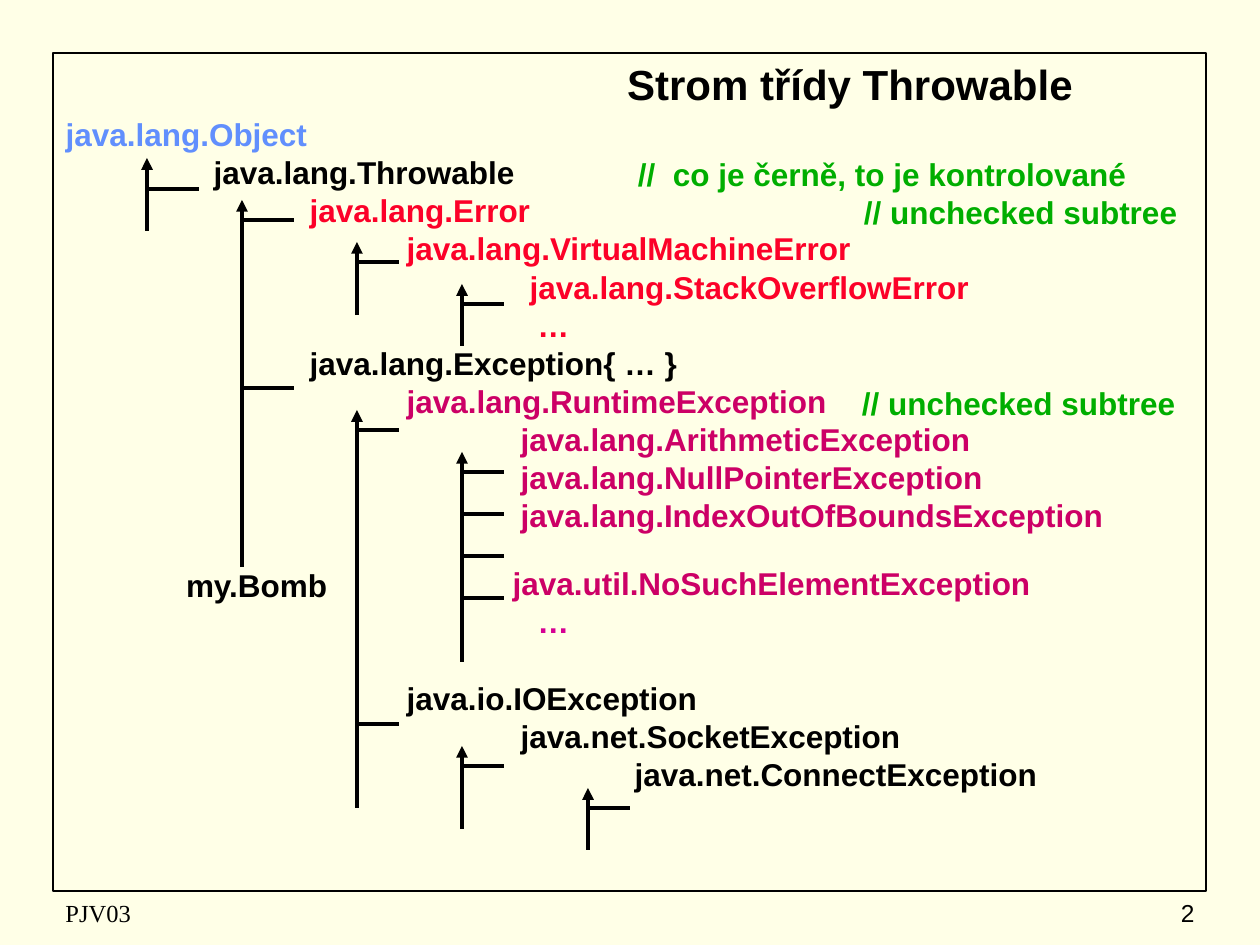
from dataclasses import dataclass

import pptx
import pptx.dml.color
import pptx.enum.shapes
import pptx.enum.text
import pptx.oxml
import pptx.oxml.ns
import pptx.util

EMU_PER_PX = 914400 / 126
ALIGN = pptx.enum.text.PP_ALIGN
ANCHOR = pptx.enum.text.MSO_ANCHOR


@dataclass(frozen=True)
class Theme:
    background: str = "FFFFE7"
    ink: str = "000000"
    root: str = "618FFD"
    error: str = "FC0128"
    runtime: str = "CC0066"
    more: str = "D60093"
    comment: str = "00AE00"
    sans: str = "Arial"
    serif: str = "Times New Roman"
    title_pt: int = 24
    body_pt: int = 18
    footer_pt: int = 14
    frame_pt: float = 1
    branch_pt: float = 2.25
    row_gap_pt: float = 4.5


THEME = Theme()


@dataclass(frozen=True)
class Entry:
    """One class in the tree, indented by its depth."""
    indent: int
    name: str
    color: str = THEME.ink
    gap_pt: float = THEME.row_gap_pt


@dataclass(frozen=True)
class SideNote:
    """Text beside a tree row, centred on that row."""
    left: int
    row_center: int
    width: int
    text: str
    color: str = THEME.comment


@dataclass(frozen=True)
class Stem:
    """An inheritance arrow pointing up, with branches to its right."""
    x: int
    top: int
    bottom: int
    branches: tuple[int, ...]
    reach: int = 42


ENTRIES = [
    Entry(0, "java.lang.Object", THEME.root, gap_pt=0),
    Entry(148, "java.lang.Throwable"),
    Entry(244, "java.lang.Error", THEME.error),
    Entry(341, "java.lang.VirtualMachineError", THEME.error),
    Entry(464, "java.lang.StackOverflowError", THEME.error),
    Entry(472, "…", THEME.error),
    Entry(244, "java.lang.Exception{ … }"),
    Entry(341, "java.lang.RuntimeException", THEME.runtime),
    Entry(455, "java.lang.ArithmeticException", THEME.runtime),
    Entry(455, "java.lang.NullPointerException", THEME.runtime),
    Entry(455, "java.lang.IndexOutOfBoundsException", THEME.runtime),
    Entry(447, "java.util.NoSuchElementException", THEME.runtime, gap_pt=21.5),
    Entry(472, "…", THEME.more),
    Entry(341, "java.io.IOException", gap_pt=26.3),
    Entry(455, "java.net.SocketException"),
    Entry(569, "java.net.ConnectException"),
]

SIDE_NOTES = [
    SideNote(638, 174, 520, "//  co je černě, to je kontrolované"),
    SideNote(864, 212, 340, "// unchecked subtree"),
    SideNote(862, 403, 340, "// unchecked subtree"),
    SideNote(186, 585, 160, "my.Bomb", THEME.ink),
]

STEMS = [
    Stem(147, 158, 231, (189,), reach=52),
    Stem(242, 200, 567, (220, 388), reach=52),
    Stem(357, 242, 315, (262,)),
    Stem(357, 410, 808, (430, 724)),
    Stem(462, 284, 346, (304,)),
    Stem(462, 452, 662, tuple(range(472, 599, 42))),
    Stem(462, 746, 829, (766,)),
    Stem(588, 788, 850, (808,)),
]


def px(length: int) -> int:
    return round(length * EMU_PER_PX)


def rgb(color: str) -> pptx.dml.color.RGBColor:
    return pptx.dml.color.RGBColor.from_string(color)


def place(shape, left: int, top: int, width: int, height: int) -> None:
    shape.left, shape.top = px(left), px(top)
    shape.width, shape.height = px(width), px(height)


def add_run(paragraph, text: str, size: int, color: str = THEME.ink,
            font: str = THEME.sans, bold: bool = False) -> None:
    run = paragraph.add_run()
    run.text = text
    run.font.name, run.font.size, run.font.bold = font, pptx.util.Pt(size), bold
    run.font.color.rgb = rgb(color)


def prepare(frame, anchor) -> None:
    frame.word_wrap = True
    frame.auto_size = pptx.enum.text.MSO_AUTO_SIZE.NONE
    frame.vertical_anchor = anchor


def set_indent(paragraph, indent: int) -> None:
    properties = paragraph._p.get_or_add_pPr()
    properties.set("marL", str(px(indent)))
    properties.set("indent", "0")
    properties.append(pptx.oxml.parse_xml(f'<a:buNone {pptx.oxml.ns.nsdecls("a")}/>'))


def fill_tree(frame, entries: list[Entry]) -> None:
    for position, entry in enumerate(entries):
        row = frame.add_paragraph() if position else frame.paragraphs[0]
        row.alignment = ALIGN.LEFT
        row.line_spacing = 0.8
        row.space_before = pptx.util.Pt(entry.gap_pt)
        set_indent(row, entry.indent)
        add_run(row, entry.name, THEME.body_pt, entry.color, bold=True)


def add_side_note(slide, note: SideNote) -> None:
    height = 40
    box = slide.shapes.add_textbox(px(note.left), px(note.row_center - height // 2),
                                   px(note.width), px(height))
    frame = box.text_frame
    prepare(frame, ANCHOR.MIDDLE)
    frame.margin_left = frame.margin_right = frame.margin_top = frame.margin_bottom = 0
    add_run(frame.paragraphs[0], note.text, THEME.body_pt, note.color, bold=True)


def add_line(slide, start: tuple[int, int], end: tuple[int, int], arrow: bool = False) -> None:
    connector = slide.shapes.add_connector(
        pptx.enum.shapes.MSO_CONNECTOR.STRAIGHT, *map(px, start + end))
    connector.line.color.rgb = rgb(THEME.ink)
    connector.line.width = pptx.util.Pt(THEME.branch_pt)
    namespace = pptx.oxml.ns.nsdecls("a")
    if arrow:
        connector.line._get_or_add_ln().append(
            pptx.oxml.parse_xml(f'<a:tailEnd {namespace} type="triangle"/>'))
    connector._element.spPr.append(pptx.oxml.parse_xml(f"<a:effectLst {namespace}/>"))


def add_stem(slide, stem: Stem) -> None:
    add_line(slide, (stem.x, stem.bottom), (stem.x, stem.top), arrow=True)
    for y in stem.branches:
        add_line(slide, (stem.x, y), (stem.x + stem.reach, y))


def add_footer(slide, text: str, left: int, width: int, font: str, alignment) -> None:
    footer = slide.shapes.add_textbox(px(left), px(892), px(width), px(42))
    prepare(footer.text_frame, ANCHOR.MIDDLE)
    paragraph = footer.text_frame.paragraphs[0]
    paragraph.alignment = alignment
    add_run(paragraph, text, THEME.footer_pt, font=font)


def main() -> None:
    deck = pptx.Presentation()
    deck.slide_width, deck.slide_height = px(1260), px(945)
    slide = deck.slides.add_slide(deck.slide_layouts[1])
    slide.background.fill.solid()
    slide.background.fill.fore_color.rgb = rgb(THEME.background)

    title, tree = slide.shapes.title, slide.placeholders[1]
    place(title, 472, 52, 756, 63)
    prepare(title.text_frame, ANCHOR.MIDDLE)
    heading = title.text_frame.paragraphs[0]
    heading.alignment = ALIGN.CENTER
    add_run(heading, "Strom třídy Throwable", THEME.title_pt, bold=True)

    place(tree, 53, 116, 1155, 788)
    prepare(tree.text_frame, ANCHOR.TOP)
    fill_tree(tree.text_frame, ENTRIES)

    border = slide.shapes.add_shape(
        pptx.enum.shapes.MSO_SHAPE.RECTANGLE, px(53), px(53), px(1153), px(838))
    border.shadow.inherit = False
    border.fill.background()
    border.line.color.rgb = rgb(THEME.ink)
    border.line.width = pptx.util.Pt(THEME.frame_pt)

    add_footer(slide, "PJV03", 53, 399, THEME.serif, ALIGN.LEFT)
    add_footer(slide, "2", 945, 262, THEME.sans, ALIGN.RIGHT)
    for note in SIDE_NOTES:
        add_side_note(slide, note)
    for stem in STEMS:
        add_stem(slide, stem)
    deck.save("out.pptx")


if __name__ == "__main__":
    main()
